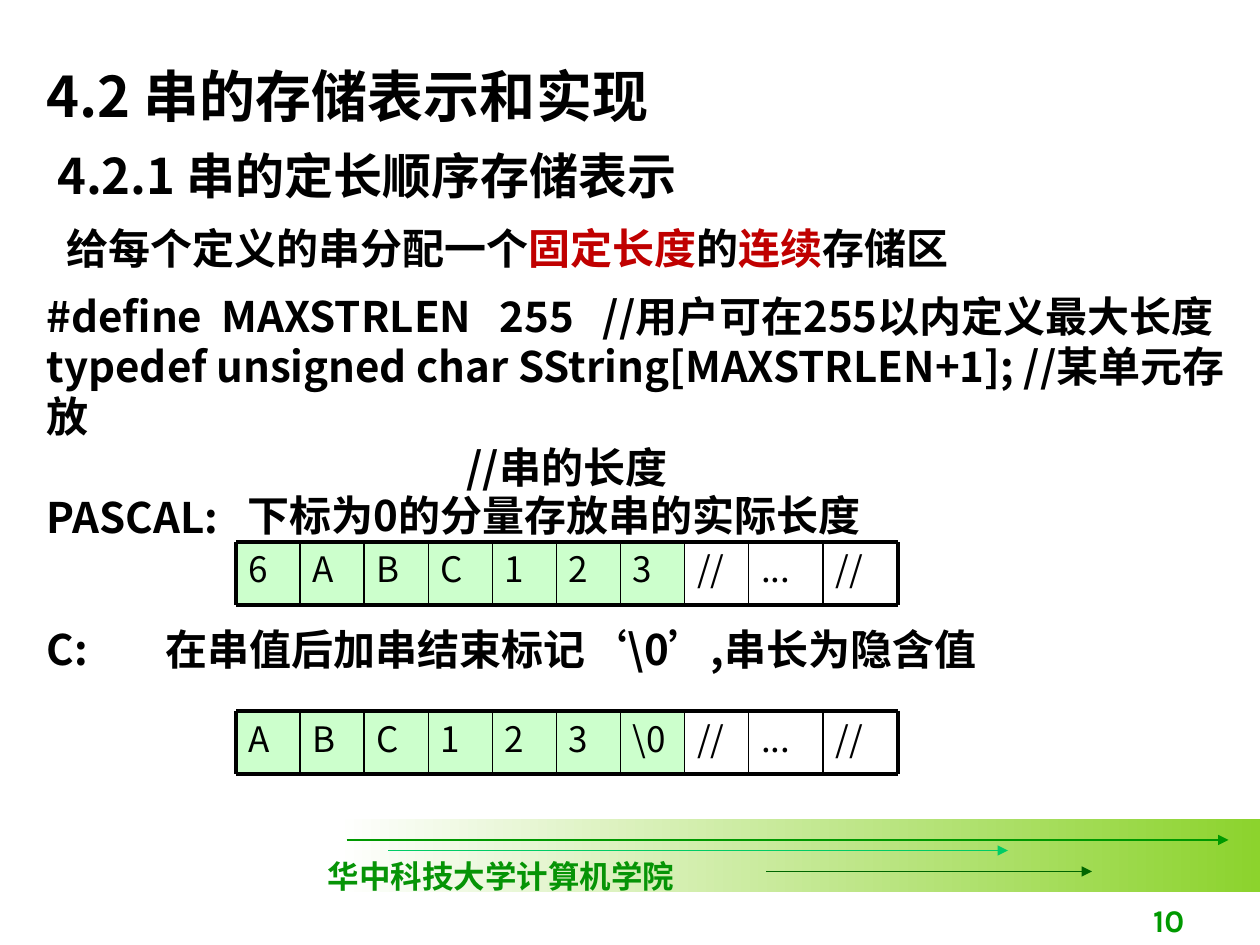
"""Build the slide on fixed-length sequential storage of strings."""
from itertools import accumulate
from lxml.etree import SubElement
from pptx import Presentation
from pptx.dml.color import RGBColor
from pptx.enum.shapes import MSO_CONNECTOR, MSO_SHAPE
from pptx.enum.text import MSO_ANCHOR, MSO_AUTO_SIZE, PP_ALIGN
from pptx.oxml.ns import qn
from pptx.util import Inches, Pt

BLACK = RGBColor(0x00, 0x00, 0x00)
WHITE = RGBColor(0xFF, 0xFF, 0xFF)
RED = RGBColor(0xC0, 0x00, 0x00)
LIME = RGBColor(0x8C, 0xD3, 0x2D)
PALE_GREEN = RGBColor(0xCC, 0xFF, 0xCC)
GREEN = RGBColor(0x00, 0x99, 0x00)
MINT = RGBColor(0x00, 0xCC, 0x66)
DARK_GREEN = RGBColor(0x00, 0x66, 0x00)
SCHOOL_GREEN = RGBColor(0x06, 0x94, 0x06)
TEXT_FONT = "Noto Sans CJK SC"
COLUMNS, ROWS = 120, 90
TEXT_LEFT = 4.45
LINE_SPACING = 1.2

presentation = Presentation()
presentation.slide_width, presentation.slide_height = Inches(10), Inches(7.5)
column = presentation.slide_width // COLUMNS
row = presentation.slide_height // ROWS
slide = presentation.slides.add_slide(presentation.slide_layouts[1])


def write(shape, area, lines, color=BLACK, font=TEXT_FONT, alignment=PP_ALIGN.LEFT):
    left, top, width, height = area
    shape.left, shape.top = int(left * column), int(top * row)
    shape.width, shape.height = int(width * column), int(height * row)
    frame = shape.text_frame
    frame.margin_left = frame.margin_right = frame.margin_top = frame.margin_bottom = 0
    frame.word_wrap, frame.auto_size = True, MSO_AUTO_SIZE.NONE
    frame.vertical_anchor = MSO_ANCHOR.TOP
    for index, (runs, size, space, indent) in enumerate(lines):
        paragraph = frame.add_paragraph() if index else frame.paragraphs[0]
        properties = paragraph._p.get_or_add_pPr()
        properties.set("marL", str(int(indent * column)))
        properties.set("indent", "0")
        SubElement(properties, qn("a:buNone"))
        paragraph.alignment = alignment
        paragraph.space_before = Pt(space)
        paragraph.line_spacing = Pt(round(size * LINE_SPACING, 1))
        paragraph.font.name, paragraph.font.size = font, Pt(size)
        paragraph.font.bold, paragraph.font.color.rgb = True, color
        for text, changes in runs:
            run = paragraph.add_run()
            run.text = text
            if "color" in changes:
                run.font.color.rgb = changes["color"]
            if "font" in changes:
                run.font.name = changes["font"]


def draw_line(left, top, right, bottom, color, width):
    line = slide.shapes.add_connector(
        MSO_CONNECTOR.STRAIGHT, int(left * column), int(top * row),
        int(right * column), int(bottom * row))
    line.line.color.rgb, line.line.width = color, Pt(width)
    SubElement(line._element.spPr, qn("a:effectLst"))
    return line


band = slide.shapes.add_shape(MSO_SHAPE.RECTANGLE, 32 * column, 78 * row, 88 * column, 7 * row)
band.shadow.inherit = False
band.line.fill.background()
band.fill.gradient()
band.fill.gradient_angle = 0
for stop, color, position in zip(band.fill.gradient_stops, (WHITE, LIME), (0, 1)):
    stop.color.rgb, stop.position = color, position

for start, end, level, color in ((33, 117, 80, GREEN), (37, 96, 81, MINT), (73, 104, 83, DARK_GREEN)):
    arrow = draw_line(start, level, end, level, color, 0.75)
    SubElement(arrow.line._get_or_add_ln(), qn("a:tailEnd"), type="triangle")

write(slide.shapes.add_textbox(0, 0, 0, 0), (31.2, 81.6, 36, 4),
      [([("华中科技大学计算机学院", {})], 18, 0, 0)], SCHOOL_GREEN, "Times New Roman")

number = slide.shapes.add_textbox(0, 0, 0, 0)
write(number, (89, 84, 23.8, 5.4), [([("10", {})], 18, 0, 0)], GREEN, "Karla", PP_ALIGN.RIGHT)
number.text_frame.vertical_anchor = MSO_ANCHOR.BOTTOM

cell_edges = list(accumulate([22.5] + [6.1] * 8 + [7.1] * 2))
cell_height = 6
filled_cells = 7
storage_rows = (
    (51.6, ["6", "A", "B", "C", "1", "2", "3", "//", "...", "//"]),
    (67.7, ["A", "B", "C", "1", "2", "3", "\\0", "//", "...", "//"]),
)
for top, values in storage_rows:
    bottom = top + cell_height
    for index, value in enumerate(values):
        left, right = cell_edges[index:index + 2]
        cell = slide.shapes.add_shape(
            MSO_SHAPE.RECTANGLE, int(left * column), int(top * row),
            int((right - left) * column), cell_height * row)
        cell.shadow.inherit = False
        cell.line.fill.background()
        if index < filled_cells:
            cell.fill.solid()
            cell.fill.fore_color.rgb = PALE_GREEN
        else:
            cell.fill.background()
        cell.text_frame.word_wrap = True
        cell.text_frame.vertical_anchor = MSO_ANCHOR.TOP
        paragraph = cell.text_frame.paragraphs[0]
        paragraph.alignment = PP_ALIGN.LEFT
        paragraph.font.name, paragraph.font.size = TEXT_FONT, Pt(20)
        paragraph.font.color.rgb = BLACK
        paragraph.add_run().text = value
    for level in (top, bottom):
        draw_line(cell_edges[0], level, cell_edges[-1], level, BLACK, 2.25)
    for edge in cell_edges:
        outer = edge in (cell_edges[0], cell_edges[-1])
        draw_line(edge, top, edge, bottom, BLACK, 2.25 if outer else 1)

write(slide.shapes.title, (TEXT_LEFT, 5.85, 115, 7),
      [([("4.2 串的存储表示和实现", {})], 32, 0, 0)])

highlight = {"color": RED}
write(slide.placeholders[1], (TEXT_LEFT, 13.9, 115.4, 37), [
    ([("4.2.1 串的定长顺序存储表示", {})], 28, 0, 1),
    ([("给每个定义的串分配一个", {}), ("固定长度", highlight), ("的", {}),
      ("连续", highlight), ("存储区", {})], 24, 10, 1.9),
    ([("#define  MAXSTRLEN   255   //用户可在255以内定义最大长度", {})], 24, 10, 0),
    ([("typedef unsigned char SString[MAXSTRLEN+1]; //某单元存放", {})], 24, 0, 0),
    ([("//串的长度", {})], 24, 0, 40),
    ([("PASCAL:", {})], 24, 0, 0),
])

quote = {"font": "Arial"}
explanations = (
    (23.6, 46.6, [("下标为0的分量存放串的实际长度", {})]),
    (TEXT_LEFT, 59.4, [("C:", {})]),
    (15.8, 59.4, [("在串值后加串结束标记", {}), ("‘", quote), ("\\0", {}),
                  ("’", quote), (",串长为隐含值", {})]),
)
for left, top, runs in explanations:
    write(slide.shapes.add_textbox(0, 0, 0, 0), (left, top, 90, 5), [(runs, 24, 0, 0)])

presentation.save("out.pptx")
